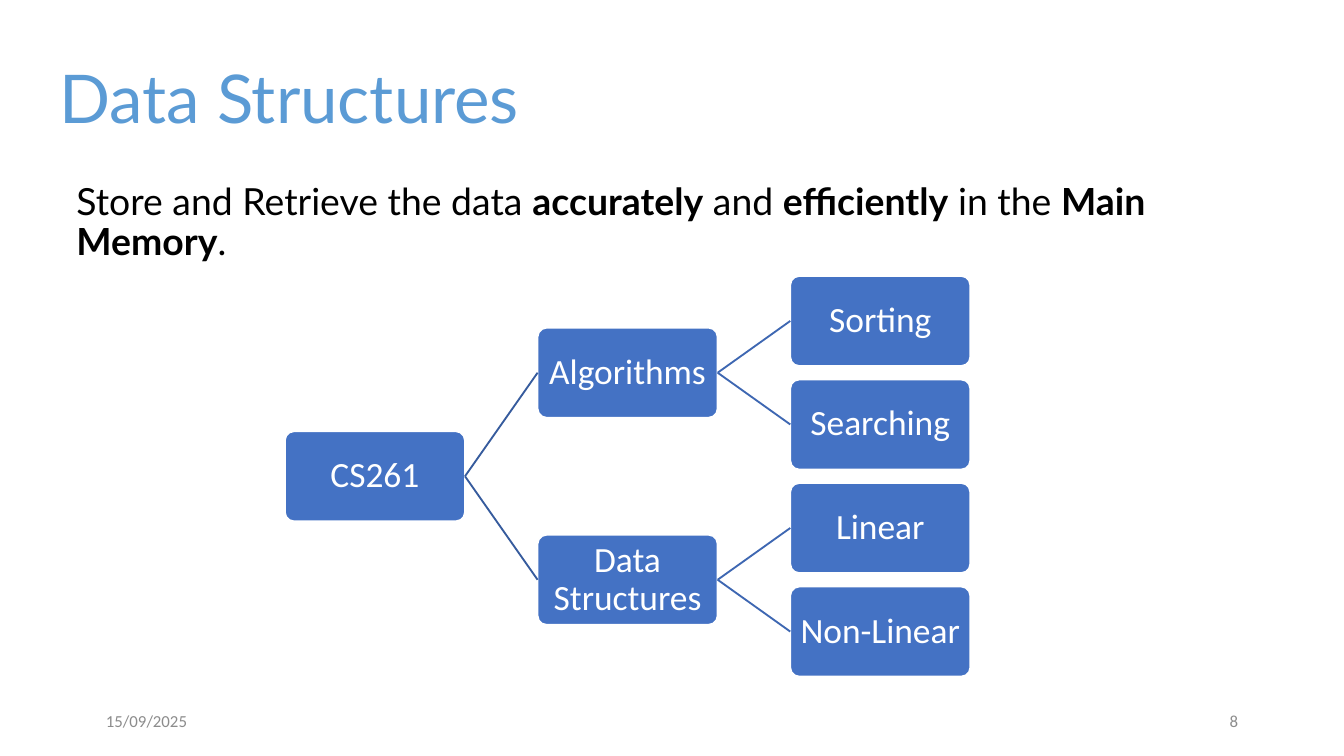
from lxml import etree
from pptx import Presentation
from pptx.dml.color import RGBColor
from pptx.enum.shapes import MSO_CONNECTOR, MSO_SHAPE
from pptx.enum.text import MSO_ANCHOR, MSO_AUTO_SIZE, PP_ALIGN
from pptx.oxml.ns import qn
from pptx.util import Inches, Pt

STRAIGHT = MSO_CONNECTOR.STRAIGHT
ROUNDED = MSO_SHAPE.ROUNDED_RECTANGLE
MIDDLE, TOP = MSO_ANCHOR.MIDDLE, MSO_ANCHOR.TOP
LEFT, CENTER, RIGHT = PP_ALIGN.LEFT, PP_ALIGN.CENTER, PP_ALIGN.RIGHT
LEFT_SIDE, RIGHT_SIDE = 1, 3

WHITE = RGBColor(0xFF, 0xFF, 0xFF)
BLACK = RGBColor(0, 0, 0)
GRAY = RGBColor(0x8C, 0x8C, 0x8C)
TITLE_BLUE = RGBColor(0x5B, 0x9B, 0xD5)
NODE_BLUE = RGBColor(0x44, 0x72, 0xC4)
LINK_BLUES = [RGBColor(0x36, 0x5B, 0x9D), RGBColor(0x3E, 0x67, 0xB2)]

PAGE_WIDTH = Inches(10)
PAGE_HEIGHT = PAGE_WIDTH * 9 // 16
NODE_WIDTH_SHARE = 1.34 / 5.1
NODE_HEIGHT_SHARE = 0.67 / 2.98
LEVELS, LEAVES = 3, 4

STATEMENT = [
    ("Store and Retrieve the data ", False),
    ("accurately", True),
    (" and ", False),
    ("efficiently", True),
    (" in the ", False),
    ("Main Memory", True),
    (".", False),
]
COURSE_TREE = ("CS261", [
    ("Algorithms", [("Sorting", []), ("Searching", [])]),
    ("Data Structures", [("Linear", []), ("Non-Linear", [])]),
])


def set_frame(frame, anchor, inset_x, inset_y):
    frame.word_wrap = True
    frame.auto_size = MSO_AUTO_SIZE.NONE
    frame.vertical_anchor = anchor
    frame.margin_left = frame.margin_right = Inches(inset_x)
    frame.margin_top = frame.margin_bottom = Inches(inset_y)


def style_font(font, name, size, color):
    font.name = name
    font.size = Pt(size)
    font.color.rgb = color


def add_title(page, box, text):
    title = page.shapes.title
    title.left, title.top, title.width, title.height = box
    title.line.color.rgb = WHITE
    title.line.width = Pt(2.25)
    title.text_frame.text = text
    set_frame(title.text_frame, MIDDLE, 0.1, 0.1)
    para = title.text_frame.paragraphs[0]
    para.alignment = LEFT
    para.line_spacing = 0.9
    style_font(para.runs[0].font, "Lato", 36, TITLE_BLUE)


def add_statement(page, box, parts):
    frame = page.shapes.add_textbox(*box).text_frame
    set_frame(frame, TOP, 0.1, 0.1)
    para = frame.paragraphs[0]
    para.line_spacing = 0.9
    properties = para._p.get_or_add_pPr()
    properties.set("marL", str(Inches(0.13)))
    properties.set("indent", "0")
    for text, bold in parts:
        span = para.add_run()
        span.text = text
        style_font(span.font, "Lato", 20, BLACK)
        span.font.bold = bold


def add_node(page, box, text):
    node = page.shapes.add_shape(ROUNDED, *box)
    node.adjustments[0] = 0.1
    node.shadow.inherit = False
    node.fill.solid()
    node.fill.fore_color.rgb = NODE_BLUE
    node.line.color.rgb = WHITE
    node.line.width = Pt(1)
    node.text_frame.text = text
    set_frame(node.text_frame, MIDDLE, 0.03, 0.03)
    para = node.text_frame.paragraphs[0]
    para.alignment = CENTER
    para.line_spacing = 0.9
    style_font(para.runs[0].font, "Calibri", 19, WHITE)
    return node


def add_link(page, parent, child, color):
    link = page.shapes.add_connector(STRAIGHT, 0, 0, 0, 0)
    link.begin_connect(parent, RIGHT_SIDE)
    link.end_connect(child, LEFT_SIDE)
    link.line.color.rgb = color
    link.line.width = Pt(1)
    etree.SubElement(link._element.spPr, qn("a:effectLst"))


def add_tree(page, box, tree):
    """Place leaves on equal rows and each parent midway between its children."""
    left, top, width, height = box
    node_width = round(width * NODE_WIDTH_SHARE)
    node_height = round(height * NODE_HEIGHT_SHARE)
    column_step = (width - node_width) / (LEVELS - 1)
    row_step = (height - node_height) / (LEAVES - 1)
    leaf_rows = iter(range(LEAVES))

    def add_branch(branch, level):
        text, branches = branch
        children = [add_branch(child, level + 1) for child in branches]
        if children:
            node_top = (children[0].top + children[-1].top) // 2
        else:
            node_top = round(top + next(leaf_rows) * row_step)
        node_left = round(left + level * column_step)
        node = add_node(page, (node_left, node_top, node_width, node_height), text)
        for child in children:
            add_link(page, node, child, LINK_BLUES[level])
        return node

    add_branch(tree, 0)


def add_footer(page, box, date, number):
    left, top, width, height = box
    part_width = round(width * 0.26)
    for text, part_left, alignment in [
        (date, left, LEFT),
        (number, left + width - part_width, RIGHT),
    ]:
        frame = page.shapes.add_textbox(part_left, top, part_width, height).text_frame
        frame.text = text
        set_frame(frame, MIDDLE, 0.1, 0.05)
        para = frame.paragraphs[0]
        para.alignment = alignment
        style_font(para.runs[0].font, "Calibri", 9, GRAY)


def area(left, top, width, height):
    """Turn percentages of the slide's size into lengths."""
    return (round(PAGE_WIDTH * left / 100), round(PAGE_HEIGHT * top / 100),
            round(PAGE_WIDTH * width / 100), round(PAGE_HEIGHT * height / 100))


def main():
    deck = Presentation()
    deck.slide_width, deck.slide_height = PAGE_WIDTH, PAGE_HEIGHT
    page = deck.slides.add_slide(deck.slide_layouts.get_by_name("Title Only"))
    add_title(page, area(3.4, 7.2, 93.2, 12.6), "Data Structures")
    add_statement(page, area(3.4, 22.45, 91.5, 8), STATEMENT)
    add_tree(page, area(21.2, 36.5, 51, 53), COURSE_TREE)
    add_footer(page, area(6.9, 92.7, 86.2, 5.3), "15/09/2025", "8")
    deck.save("out.pptx")


if __name__ == "__main__":
    main()
